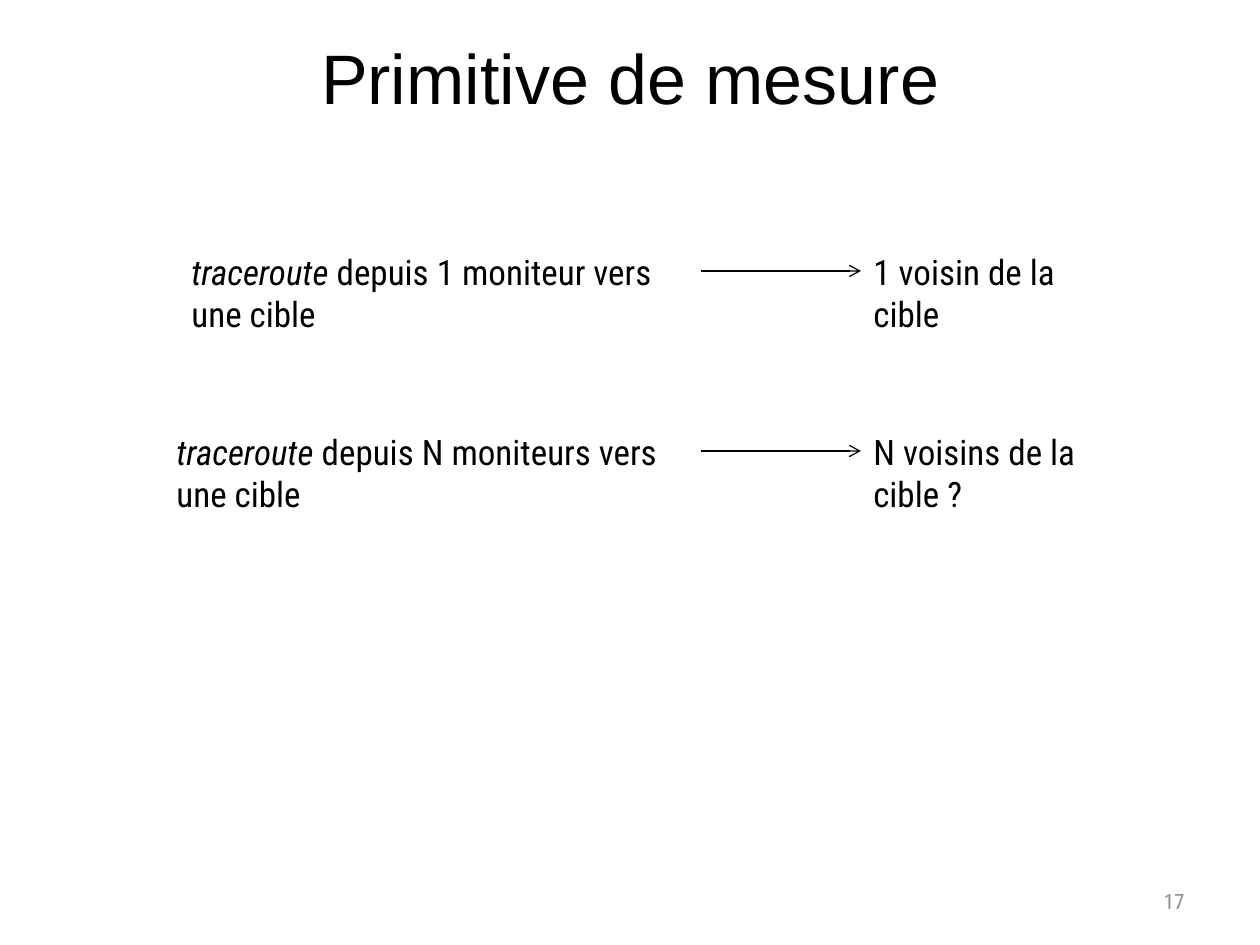
from lxml.etree import SubElement
from pptx import Presentation
from pptx.dml.color import RGBColor
from pptx.enum.shapes import MSO_CONNECTOR
from pptx.enum.text import MSO_ANCHOR, PP_ALIGN
from pptx.oxml.ns import qn
from pptx.util import Emu, Pt

# Content: left edge, measurement runs (text, italic), result, result width
TITLE = "Primitive de mesure"
PAGE_NUMBER = "17"
ROWS = [
    (179, [("traceroute", True), (" depuis 1 moniteur vers une cible", False)],
     "1 voisin de la cible", 234),
    (164, [("traceroute", True), (" depuis N moniteurs vers une cible", False)],
     "N voisins de la cible ?", 267),
]

# Style and layout, in pixels
BLACK = RGBColor(0x00, 0x00, 0x00)
GREY = RGBColor(0x8C, 0x8C, 0x8C)
TITLE_FONT, BODY_FONT = "Arial", "Roboto Condensed"
SCALE = 914400 // 126
ROW_TOP, ROW_STEP, ROW_HEIGHT = 244, 180, 55
ARROW_START, ARROW_END = 701, 861


def px(*lengths):
    return [Emu(length * SCALE) for length in lengths]


def style_run(run, font, size, color, italic=False):
    run.font.name = font
    run.font.size = Pt(size)
    run.font.color.rgb = color
    run.font.italic = italic


def add_text(box, runs, size=20, color=BLACK):
    shape = slide.shapes.add_textbox(*px(*box))
    shape.text_frame.word_wrap = True
    paragraph = shape.text_frame.paragraphs[0]
    for text, italic in runs:
        run = paragraph.add_run()
        run.text = text
        style_run(run, BODY_FONT, size, color, italic)
    return shape.text_frame


def add_arrow(start, end, y):
    arrow = slide.shapes.add_connector(MSO_CONNECTOR.STRAIGHT, *px(start, y, end, y))
    arrow.line.color.rgb = BLACK
    arrow.line.width = Pt(0.75)
    SubElement(arrow.line._get_or_add_ln(), qn("a:tailEnd"), type="arrow")
    SubElement(arrow._element.spPr, qn("a:effectLst"))


presentation = Presentation()
presentation.slide_width, presentation.slide_height = px(1260, 945)
slide = presentation.slides.add_slide(presentation.slide_layouts[5])

# Title
title = slide.shapes.title
title.left, title.top, title.width, title.height = px(63, 0, 1134, 154)
title.text_frame.text = TITLE
title.text_frame.vertical_anchor = MSO_ANCHOR.MIDDLE
title.text_frame.paragraphs[0].alignment = PP_ALIGN.CENTER
style_run(title.text_frame.paragraphs[0].runs[0], TITLE_FONT, 40, BLACK)

# Measurement, arrow and result on each row
for index, (left, measurement, result, result_width) in enumerate(ROWS):
    top = ROW_TOP + index * ROW_STEP
    add_text((left, top, ARROW_START - left, ROW_HEIGHT), measurement)
    add_text((ARROW_END, top, result_width, ROW_HEIGHT), [(result, False)])
    add_arrow(ARROW_START, ARROW_END, top + ROW_HEIGHT // 2)

# Page number
number_frame = add_text((903, 876, 294, 50), [(PAGE_NUMBER, False)], 12, GREY)
number_frame.vertical_anchor = MSO_ANCHOR.MIDDLE
number_frame.paragraphs[0].alignment = PP_ALIGN.RIGHT

presentation.save("out.pptx")
